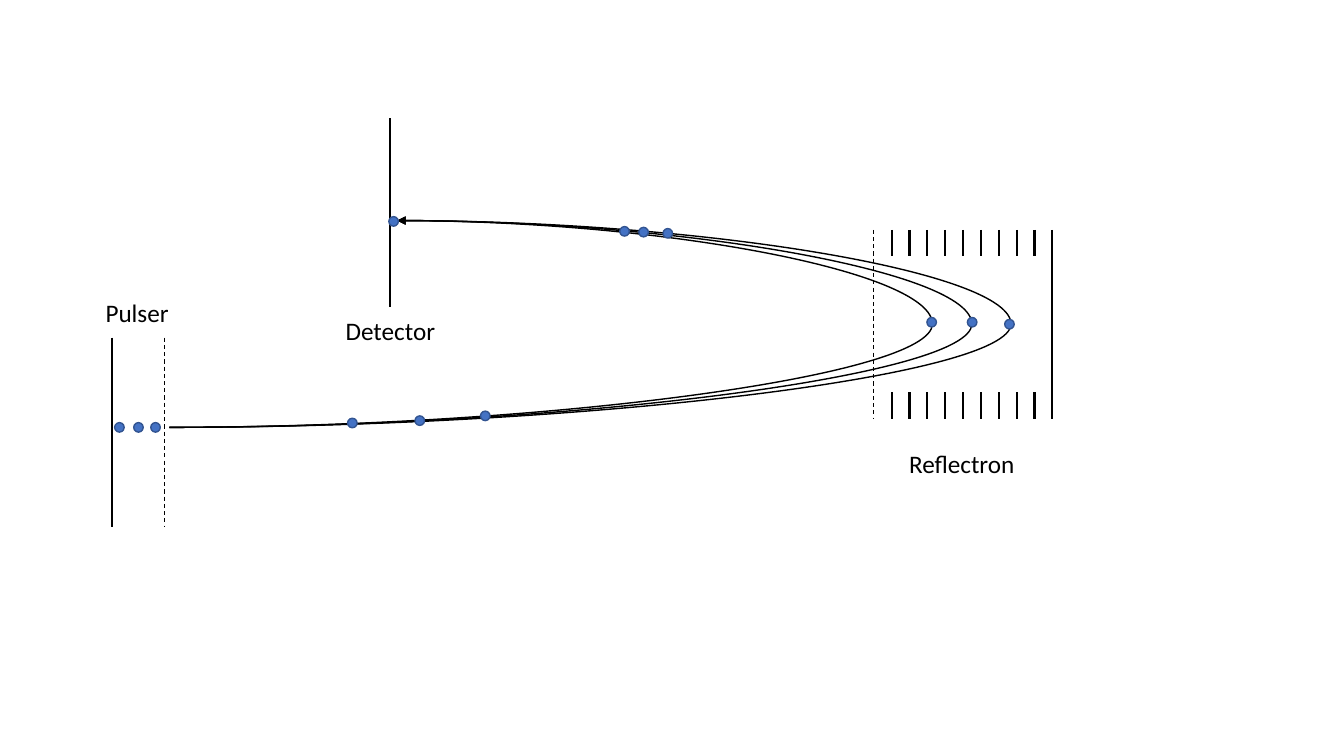
import dataclasses

import lxml.etree
import pptx
import pptx.dml.color
import pptx.enum.dml
import pptx.enum.shapes
import pptx.oxml.ns
import pptx.util

Cm = pptx.util.Cm
Pt = pptx.util.Pt
qn = pptx.oxml.ns.qn


@dataclasses.dataclass(frozen=True)
class Theme:
    """Colours, font and weights used across the slide."""
    ink: str = "000000"
    ion_fill: str = "4472C4"
    ion_line: str = "325491"
    font: str = "Calibri"
    label_size: float = 18
    electrode_width: float = 1.5
    grid_width: float = 0.75
    thin_width: float = 1


class Diagram:
    """Draws the elements of the diagram; all lengths are in centimetres."""

    def __init__(self, slide, theme):
        """Keep the slide and its style."""
        self.slide = slide
        self.theme = theme

    def connector(self, kind, start, end, width):
        """Add a plain connector without a shadow."""
        line = self.slide.shapes.add_connector(kind, *map(Cm, start + end))
        line.line.color.rgb = pptx.dml.color.RGBColor.from_string(self.theme.ink)
        line.line.width = Pt(width)
        lxml.etree.SubElement(line._element.spPr, qn("a:effectLst"))
        return line

    def electrode(self, x, top, height):
        """Add a solid vertical line."""
        self.connector(pptx.enum.shapes.MSO_CONNECTOR.STRAIGHT,
                       (x, top), (x, top + height), self.theme.electrode_width)

    def grid(self, x, top, height):
        """Add a dashed vertical line."""
        line = self.connector(pptx.enum.shapes.MSO_CONNECTOR.STRAIGHT,
                              (x, top), (x, top + height), self.theme.grid_width)
        line.line.dash_style = pptx.enum.dml.MSO_LINE.DASH

    def flight_path(self, start, end, turn_x):
        """Add a curved arrow that turns back at turn_x."""
        curve = self.connector(pptx.enum.shapes.MSO_CONNECTOR.CURVE,
                               start, end, self.theme.thin_width)
        properties = curve._element.spPr
        share = (turn_x - start[0]) / (end[0] - start[0])
        guides = properties.find(qn("a:prstGeom")).get_or_add_avLst()
        lxml.etree.SubElement(guides, qn("a:gd"), name="adj1",
                              fmla=f"val {round(share * 100000)}")
        lxml.etree.SubElement(properties.find(qn("a:ln")), qn("a:tailEnd"),
                              type="triangle")

    def ion(self, x, y, size=0.24):
        """Add an ion centred on x, y."""
        shape = self.slide.shapes.add_shape(
            pptx.enum.shapes.MSO_SHAPE.OVAL,
            Cm(x - size / 2), Cm(y - size / 2), Cm(size), Cm(size))
        shape.shadow.inherit = False
        shape.fill.solid()
        shape.fill.fore_color.rgb = pptx.dml.color.RGBColor.from_string(self.theme.ion_fill)
        shape.line.color.rgb = pptx.dml.color.RGBColor.from_string(self.theme.ion_line)
        shape.line.width = Pt(self.theme.thin_width)

    def label(self, text, left, top):
        """Add a one-line caption."""
        box = self.slide.shapes.add_textbox(Cm(left), Cm(top), Cm(3.23), Cm(1.02))
        box.text_frame.word_wrap = True
        paragraph = box.text_frame.paragraphs[0]
        paragraph.text = text
        paragraph.font.name = self.theme.font
        paragraph.font.size = Pt(self.theme.label_size)
        paragraph.font.color.rgb = pptx.dml.color.RGBColor.from_string(self.theme.ink)


PLATE_HEIGHT = 4.76
PULSER_TOP, REFLECTRON_TOP = 8.51, 5.79
GRID_X, RING_PITCH, RING_COUNT, RING_HEIGHT = 22.02, 0.45, 9, 0.66
PATH_START, PATH_END = (4.27, 10.77), (10.01, 5.56)
TURNS = (23.5, 24.49, 25.48)
IONS = {
    "pulser": [(3.01, 10.77), (3.49, 10.77), (3.92, 10.77)],
    "outbound": [(8.88, 10.66), (10.58, 10.6), (12.23, 10.48)],
    "turning": [(23.48, 8.12), (24.5, 8.12), (25.44, 8.17)],
    "returning": [(15.74, 5.83), (16.22, 5.85), (16.83, 5.88)],
    "detector": [(9.92, 5.58)],
}
LABELS = [("Pulser", 2.41, 7.37), ("Detector", 8.46, 7.82), ("Reflectron", 22.66, 11.18)]


def draw_electrodes(diagram):
    """Draw the pulser, the detector and the reflectron with its rings."""
    diagram.electrode(2.82, PULSER_TOP, PLATE_HEIGHT)
    diagram.grid(4.14, PULSER_TOP, PLATE_HEIGHT)
    diagram.electrode(9.83, 2.98, PLATE_HEIGHT)
    diagram.grid(GRID_X, REFLECTRON_TOP, PLATE_HEIGHT)
    lower_top = REFLECTRON_TOP + PLATE_HEIGHT - RING_HEIGHT
    for ring in range(1, RING_COUNT + 1):
        for top in (REFLECTRON_TOP, lower_top):
            diagram.electrode(GRID_X + ring * RING_PITCH, top, RING_HEIGHT)
    back_x = GRID_X + (RING_COUNT + 1) * RING_PITCH
    diagram.electrode(back_x, REFLECTRON_TOP, PLATE_HEIGHT)


def main():
    """Build and save the slide."""
    presentation = pptx.Presentation()
    presentation.slide_width, presentation.slide_height = Cm(33.87), Cm(19.05)
    slide = presentation.slides.add_slide(presentation.slide_layouts[6])
    diagram = Diagram(slide, Theme())
    draw_electrodes(diagram)
    for turn_x in TURNS:
        diagram.flight_path(PATH_START, PATH_END, turn_x)
    for group in IONS.values():
        for x, y in group:
            diagram.ion(x, y)
    for text, left, top in LABELS:
        diagram.label(text, left, top)
    presentation.save("out.pptx")


main()
